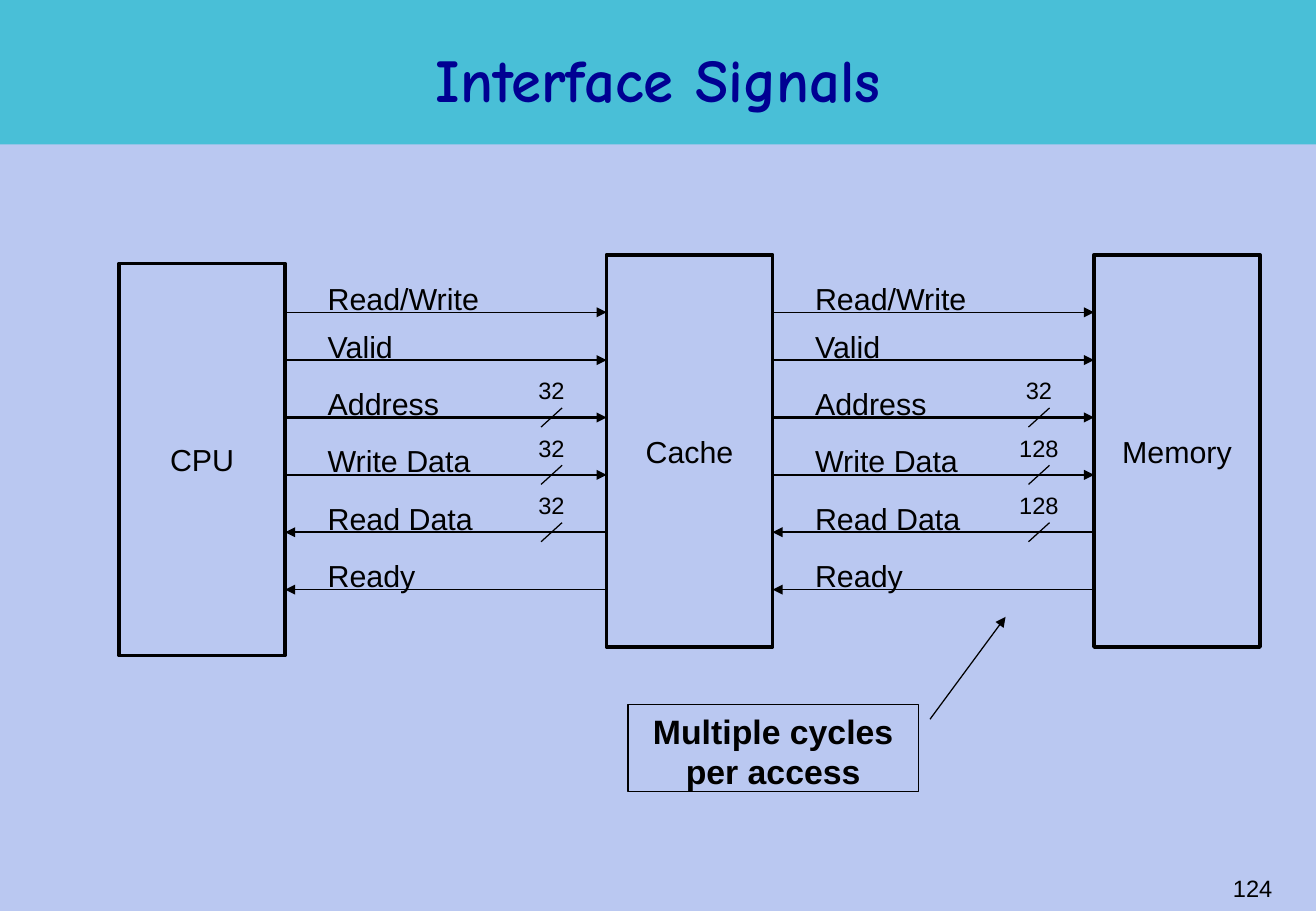
import pptx
import pptx.dml.color
import pptx.enum.shapes
import pptx.enum.text
import pptx.oxml
import pptx.oxml.ns
import pptx.util
from pptx.util import Cm

BLACK = pptx.dml.color.RGBColor(0x00, 0x00, 0x00)
NAVY = pptx.dml.color.RGBColor(0x00, 0x00, 0x92)
TEAL = pptx.dml.color.RGBColor(0x49, 0xBF, 0xD7)
LAVENDER = pptx.dml.color.RGBColor(0xBA, 0xC8, 0xF1)
SHAPES = pptx.enum.shapes.MSO_SHAPE
ALIGN = pptx.enum.text.PP_ALIGN
ANCHOR = pptx.enum.text.MSO_ANCHOR

SLIDE_WIDTH, SLIDE_HEIGHT = Cm(27.51), Cm(19.05)
UNIT_WIDTH, UNIT_HEIGHT = Cm(3.47), Cm(8.2)
UNIT_LEFT, UNIT_PITCH = Cm(2.49), Cm(10.19)
UNITS = [("CPU", Cm(5.51)), ("Cache", Cm(5.33)), ("Memory", Cm(5.33))]
SIGNALS = [
    ("Read/Write", 0, True),
    ("Valid", 1, True),
    ("Address", 2.2, True),
    ("Write Data", 3.4, True),
    ("Read Data", 4.6, False),
    ("Ready", 5.8, False),
]
BUS_WIDTHS = [
    {"Address": "32", "Write Data": "32", "Read Data": "32"},
    {"Address": "32", "Write Data": "128", "Read Data": "128"},
]


def write_text(shape, text, size, align=ALIGN.LEFT, anchor=ANCHOR.TOP,
               font="Arial", color=BLACK, bold=False):
    """Put one formatted run into a shape and return its paragraph."""
    frame = shape.text_frame
    frame.word_wrap = True
    frame.vertical_anchor = anchor
    para = frame.paragraphs[0]
    para.alignment = align
    span = para.add_run()
    span.text = text
    span.font.size = pptx.util.Pt(size)
    span.font.name = font
    span.font.bold = bold
    span.font.color.rgb = color
    return para


def add_box(page, kind, box, fill=None, line_width=None):
    """Add a preset shape without shadow, with optional fill and outline."""
    shape = page.shapes.add_shape(kind, *box)
    shape.shadow.inherit = False
    if fill is None:
        shape.fill.background()
    else:
        shape.fill.solid()
        shape.fill.fore_color.rgb = fill
    if line_width is None:
        shape.line.fill.background()
    else:
        shape.line.color.rgb = BLACK
        shape.line.width = pptx.util.Pt(line_width)
    return shape


def add_arrowhead(shape):
    """Put a triangle at the far end of a line."""
    outline = shape.line._get_or_add_ln()
    tail = pptx.oxml.parse_xml(
        f'<a:tailEnd {pptx.oxml.ns.nsdecls("a")} type="triangle"/>')
    outline.append(tail)


def add_line(page, start, end, width=0.75, arrow=False):
    """Draw a straight line between two points."""
    straight = pptx.enum.shapes.MSO_CONNECTOR.STRAIGHT
    line = page.shapes.add_connector(straight, *start, *end)
    line.line.color.rgb = BLACK
    line.line.width = pptx.util.Pt(width)
    if arrow:
        add_arrowhead(line)
    line._element.spPr.append(
        pptx.oxml.parse_xml(f'<a:effectLst {pptx.oxml.ns.nsdecls("a")}/>'))


def add_header(page, left, top, width, height):
    """Draw the title band with its heading."""
    add_box(page, SHAPES.RECTANGLE, (left, top, width, height), TEAL)
    heading = page.shapes.add_textbox(
        left + Cm(2.06), top + Cm(0.51), width - Cm(4.12), height - Cm(0.51))
    para = write_text(heading, "Interface Signals", 36, ALIGN.CENTER,
                      ANCHOR.MIDDLE, "Comic Neue", NAVY, True)
    para.line_spacing = 0.85


def add_unit(page, name, box):
    """Draw one hardware unit."""
    unit = add_box(page, SHAPES.RECTANGLE, box, line_width=2.25)
    write_text(unit, name, 18, ALIGN.CENTER, ANCHOR.MIDDLE)


def add_bus(page, left, top, width, bus_widths):
    """Draw the signals between two units, the first one at the given top."""
    right = left + width
    for name, step, outgoing in SIGNALS:
        y = top + Cm(step)
        ends = [(left, y), (right, y)]
        start, end = ends if outgoing else reversed(ends)
        add_line(page, start, end, 1.5 if name in bus_widths else 0.75, True)
        label = page.shapes.add_textbox(
            left + Cm(0.64), y - Cm(0.8), Cm(4.2), Cm(1.02))
        write_text(label, name, 18)
        if name in bus_widths:
            middle = right - Cm(1.15)
            add_line(page, (middle - Cm(0.22), y + Cm(0.2)),
                     (middle + Cm(0.22), y - Cm(0.2)))
            bits = page.shapes.add_textbox(
                middle - Cm(0.75), y - Cm(0.99), Cm(1.5), Cm(0.84))
            write_text(bits, bus_widths[name], 14, ALIGN.CENTER)


def add_note(page, box):
    """Draw the callout that points at the memory signals."""
    note = add_box(page, SHAPES.LINE_CALLOUT_1, box, LAVENDER, 0.75)
    for index, value in enumerate((0.17, 1.04, -1, 1.3)):
        note.adjustments[index] = value
    add_arrowhead(note)
    write_text(note, "Multiple cycles per access", 20, ALIGN.CENTER, bold=True)


def add_page_number(page, box):
    """Write the page number at the right of its box."""
    number = page.shapes.add_textbox(*box)
    write_text(number, "124", 14, ALIGN.RIGHT, ANCHOR.MIDDLE)


def main():
    """Build and save the slide."""
    deck = pptx.Presentation()
    deck.slide_width, deck.slide_height = SLIDE_WIDTH, SLIDE_HEIGHT
    page = deck.slides.add_slide(deck.slide_layouts[6])
    page.background.fill.solid()
    page.background.fill.fore_color.rgb = LAVENDER
    add_header(page, 0, 0, SLIDE_WIDTH, Cm(3.02))
    for index, (name, top) in enumerate(UNITS):
        left = UNIT_LEFT + index * UNIT_PITCH
        add_unit(page, name, (left, top, UNIT_WIDTH, UNIT_HEIGHT))
    for index, bus_widths in enumerate(BUS_WIDTHS):
        left = UNIT_LEFT + index * UNIT_PITCH + UNIT_WIDTH
        add_bus(page, left, Cm(6.53), UNIT_PITCH - UNIT_WIDTH, bus_widths)
    add_note(page, (Cm(13.13), Cm(14.73), Cm(6.07), Cm(1.83)))
    add_page_number(page, (Cm(21.11), Cm(17.93), Cm(5.74), Cm(1.27)))
    deck.save("out.pptx")


if __name__ == "__main__":
    main()
